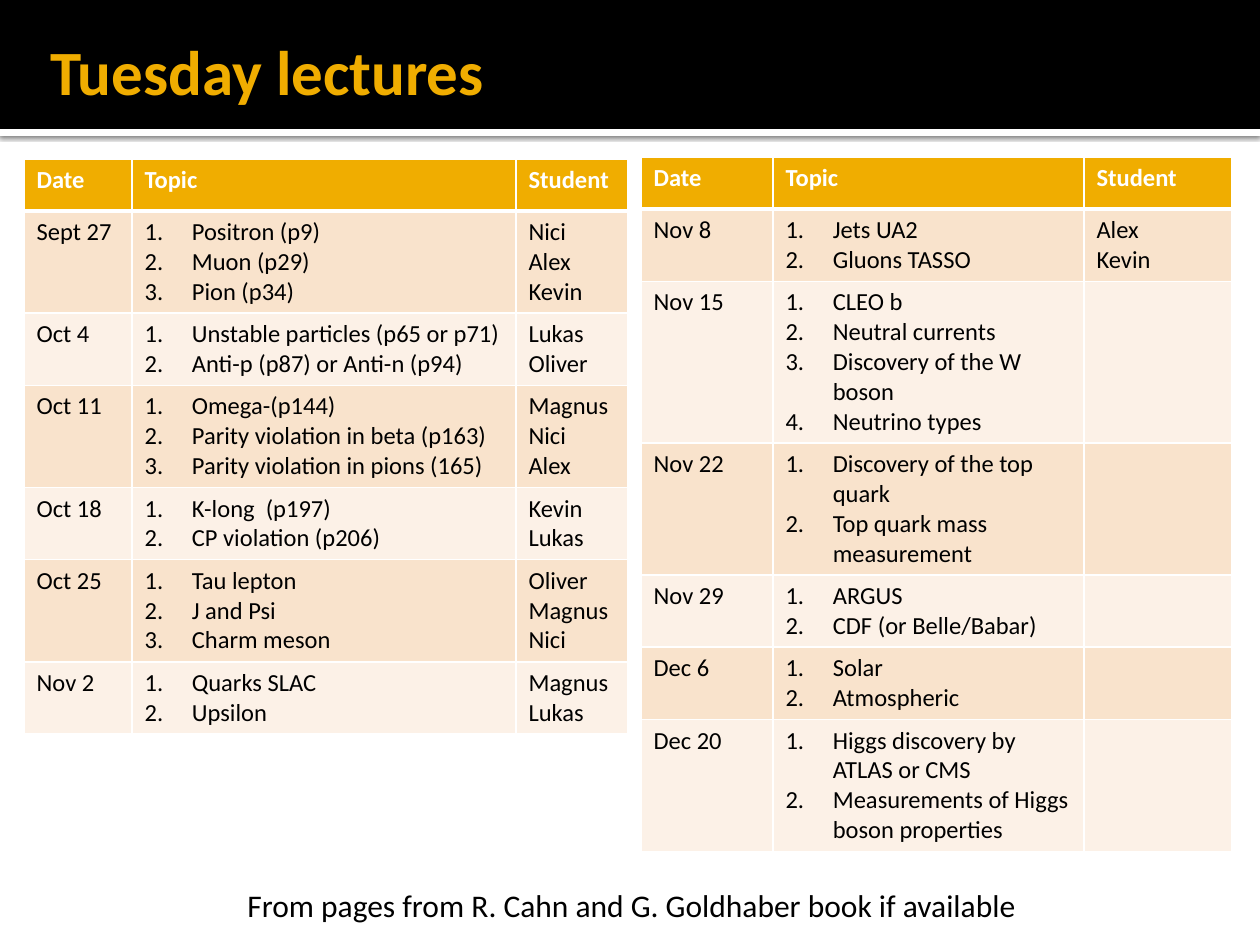
"""Build the Tuesday lectures slide with two timetable tables."""
from lxml.etree import SubElement
from pptx import Presentation
from pptx.dml.color import RGBColor
from pptx.enum.shapes import MSO_SHAPE
from pptx.enum.text import MSO_ANCHOR, MSO_AUTO_SIZE, PP_ALIGN
from pptx.oxml import parse_xml
from pptx.oxml.ns import nsdecls, qn
from pptx.util import Pt

PX = 914400 / 126
GOLD, WHITE, BLACK = "F0AD00", "FFFFFF", "000000"
BANDS = ["FCF1E7", "F9E3CC"]
HEAD = ("Date", "Topic", "Student")

FALL = [
    HEAD,
    ("Sept 27", "Positron (p9)\nMuon (p29)\nPion (p34)", "Nici\nAlex\nKevin"),
    ("Oct 4", "Unstable particles (p65 or p71)\nAnti-p (p87) or Anti-n (p94)", "Lukas\nOliver"),
    ("Oct 11", "Omega-(p144)\nParity violation in beta (p163)\nParity violation in pions (165)",
     "Magnus\nNici\nAlex"),
    ("Oct 18", "K-long  (p197)\nCP violation (p206)", "Kevin\nLukas"),
    ("Oct 25", "Tau lepton\nJ and Psi\nCharm meson", "Oliver\nMagnus\nNici"),
    ("Nov 2", "Quarks SLAC\nUpsilon", "Magnus\nLukas"),
]
LATE = [
    HEAD,
    ("Nov 8", "Jets UA2\nGluons TASSO", "Alex\nKevin"),
    ("Nov 15", "CLEO b\nNeutral currents\nDiscovery of the W boson\nNeutrino types", ""),
    ("Nov 22", "Discovery of the top quark\nTop quark mass measurement", ""),
    ("Nov 29", "ARGUS\nCDF (or Belle/Babar)", ""),
    ("Dec 6", "Solar\nAtmospheric", ""),
    ("Dec 20", "Higgs discovery by ATLAS or CMS\nMeasurements of Higgs boson properties", ""),
]
TABLES = [
    (24, 159, [108, 384, 112], FALL),
    (641, 157, [132, 311, 148], LATE),
]


def px(*nums):
    return [round(n * PX) for n in nums]


def style(para, size, color, bold=False):
    for run in para.runs:
        font = run.font
        font.name, font.size, font.bold = "Calibri", Pt(size), bold
        font.color.rgb = RGBColor.from_string(color)


deck = Presentation()
deck.slide_width, deck.slide_height = px(1260, 945)
slide = deck.slides.add_slide(deck.slide_layouts[5])
shapes = slide.shapes

for top, height, color in [(129, 7, WHITE), (0, 129, BLACK)]:
    bar = shapes.add_shape(MSO_SHAPE.RECTANGLE, *px(0, top, 1260, height))
    bar.shadow.inherit = False
    bar.fill.solid()
    bar.fill.fore_color.rgb = RGBColor.from_string(color)
    bar.line.fill.background()
    if color == WHITE:
        glow = bar._element.spPr.find(qn("a:effectLst"))
        glow.append(parse_xml(
            f'<a:outerShdw {nsdecls("a")} blurRad="31750" dist="10160" dir="5400000">'
            '<a:srgbClr val="000000"><a:alpha val="60000"/></a:srgbClr></a:outerShdw>'))

title = shapes.title
title.left, title.top, title.width, title.height = px(37, 16, 1196, 108)
frame = title.text_frame
frame.text = "Tuesday lectures"
frame.auto_size = MSO_AUTO_SIZE.NONE
frame.vertical_anchor = MSO_ANCHOR.MIDDLE
frame.margin_left, frame.margin_right = px(13, 6)
frame.paragraphs[0].alignment = PP_ALIGN.LEFT
style(frame.paragraphs[0], 36, GOLD, True)
shapes._spTree.append(title._element)

for left, top, widths, rows in TABLES:
    place = px(left, top, sum(widths), 52 * len(rows))
    table = shapes.add_table(len(rows), len(widths), *place).table
    table.horz_banding = False
    for col, width in zip(table.columns, px(*widths)):
        col.width = width
    for r, row in enumerate(rows):
        table.rows[r].height = px(52)[0]
        for c, text in enumerate(row):
            cell = table.cell(r, c)
            cell.text = text
            props = cell._tc.get_or_add_tcPr()
            for side in "LRTB":
                thick = (r, side) in [(0, "B"), (1, "T")]
                edge = SubElement(props, qn(f"a:ln{side}"), w=str(Pt(3 if thick else 1)))
                fill = SubElement(edge, qn("a:solidFill"))
                SubElement(fill, qn("a:srgbClr"), val=WHITE)
            cell.fill.solid()
            cell.fill.fore_color.rgb = RGBColor.from_string(BANDS[r % 2] if r else GOLD)
            for para in cell.text_frame.paragraphs:
                if r and c == 1:
                    pPr = para._p.get_or_add_pPr()
                    pPr.set("marL", "342900")
                    pPr.set("indent", "-342900")
                    SubElement(pPr, qn("a:buFont"), typeface="+mj-lt")
                    SubElement(pPr, qn("a:buAutoNum"), type="arabicPeriod")
                style(para, 14, BLACK if r else WHITE, r == 0)

note = shapes.add_textbox(*px(235, 880, 810, 51)).text_frame
note.word_wrap = False
note.auto_size = MSO_AUTO_SIZE.SHAPE_TO_FIT_TEXT
note.text = "From pages from R. Cahn and G. Goldhaber book if available"
style(note.paragraphs[0], 18, BLACK)

deck.save("out.pptx")
